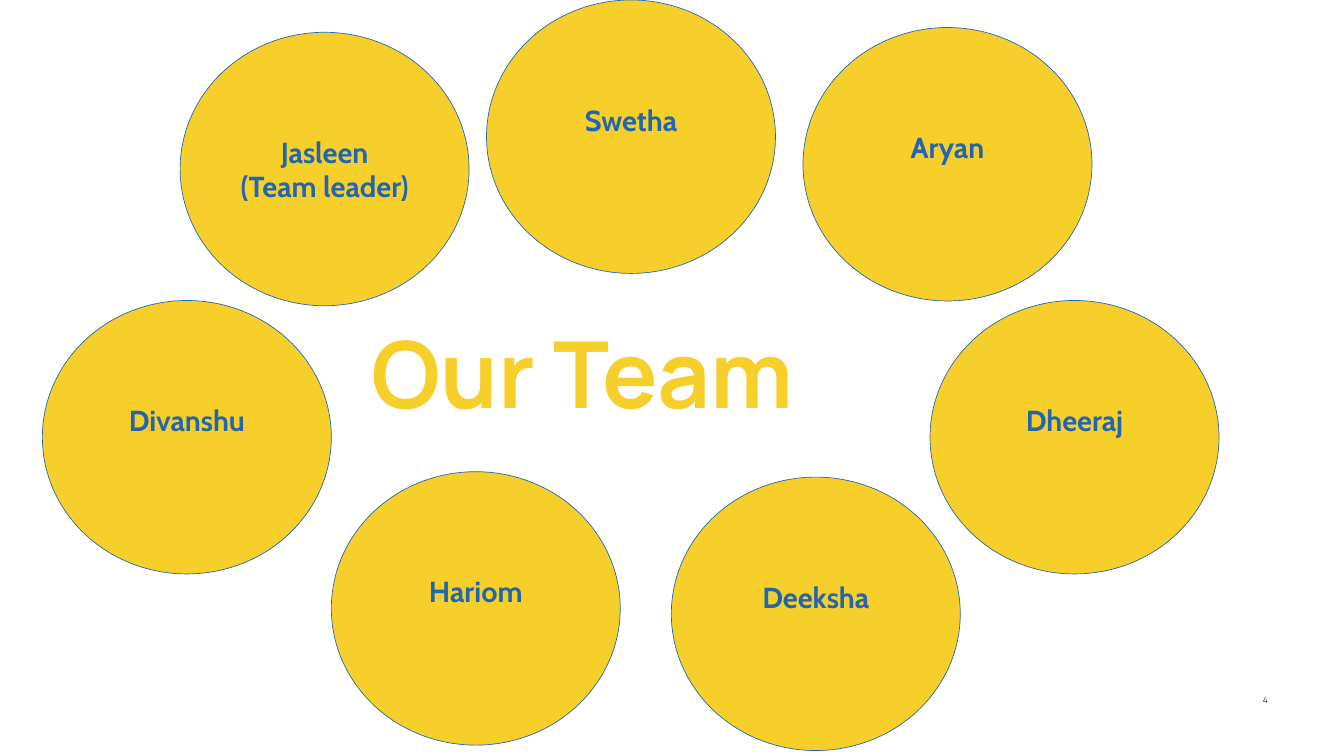
"""Build the team slide: seven named circles around the title."""
import pptx
import pptx.dml.color
import pptx.enum.shapes
import pptx.enum.text
import pptx.util

Pt = pptx.util.Pt
ALIGN = pptx.enum.text.PP_ALIGN
ANCHOR = pptx.enum.text.MSO_ANCHOR
COLORS = {"yellow": "F7CF2B", "blue": "2366B0", "ink": "212121"}
CIRCLE_WIDTH, CIRCLE_HEIGHT = 309.6, 293
INSET, NAME_LINE = 7.2, 37


def color(name):
    return pptx.dml.color.RGBColor.from_string(COLORS[name])


def add_run(paragraph, text, font_name, size, color_name, bold=False):
    run = paragraph.add_run()
    run.text = text
    run.font.name = font_name
    run.font.size = Pt(size)
    run.font.bold = bold
    run.font.color.rgb = color(color_name)


presentation = pptx.Presentation()
presentation.slide_width = Pt(1440)
presentation.slide_height = Pt(810)
slide = presentation.slides.add_slide(presentation.slide_layouts[5])

title = slide.shapes.title
title.left, title.top, title.width, title.height = Pt(398), Pt(347), Pt(555), Pt(140)
number = slide.shapes.add_textbox(Pt(1326), Pt(745), Pt(32.4), Pt(11))

for shape, anchor in ((title, ANCHOR.TOP), (number, ANCHOR.MIDDLE)):
    frame = shape.text_frame
    frame.word_wrap = True
    frame.auto_size = pptx.enum.text.MSO_AUTO_SIZE.NONE
    frame.vertical_anchor = anchor
    frame.margin_left = frame.margin_right = frame.margin_top = frame.margin_bottom = 0

paragraph = title.text_frame.paragraphs[0]
paragraph.alignment = ALIGN.LEFT
paragraph.line_spacing = 0.95
add_run(paragraph, "Our Team", "Manrope", 99, "yellow", bold=True)

paragraph = number.text_frame.paragraphs[0]
paragraph.alignment = ALIGN.RIGHT
add_run(paragraph, "4", "Manrope", 9, "ink")

members = [
    (["Jasleen", "(Team leader)"], 193, 34.6),
    (["Dheeraj"], 996.5, 322),
    (["Swetha"], 521.3, 0),
    (["Divanshu"], 45.4, 322),
    (["Hariom"], 355, 505.4),
    (["Deeksha"], 719.3, 511.2),
    (["Aryan"], 860.4, 29.5),
]

for lines, left, top in members:
    circle = slide.shapes.add_shape(
        pptx.enum.shapes.MSO_SHAPE.OVAL,
        Pt(left), Pt(top), Pt(CIRCLE_WIDTH), Pt(CIRCLE_HEIGHT),
    )
    circle.shadow.inherit = False
    circle.fill.solid()
    circle.fill.fore_color.rgb = color("yellow")
    circle.line.color.rgb = color("blue")
    circle.line.width = Pt(0.75)
    frame = circle.text_frame
    frame.word_wrap = True
    frame.vertical_anchor = ANCHOR.MIDDLE
    frame.margin_left = frame.margin_right = frame.margin_top = Pt(INSET)
    frame.margin_bottom = Pt(INSET + NAME_LINE * (2 - len(lines)))
    paragraph = frame.paragraphs[0]
    paragraph.alignment = ALIGN.CENTER
    for index, line in enumerate(lines):
        if index:
            paragraph.add_line_break()
        add_run(paragraph, line, "Cabin", 31, "blue", bold=True)

presentation.save("out.pptx")
